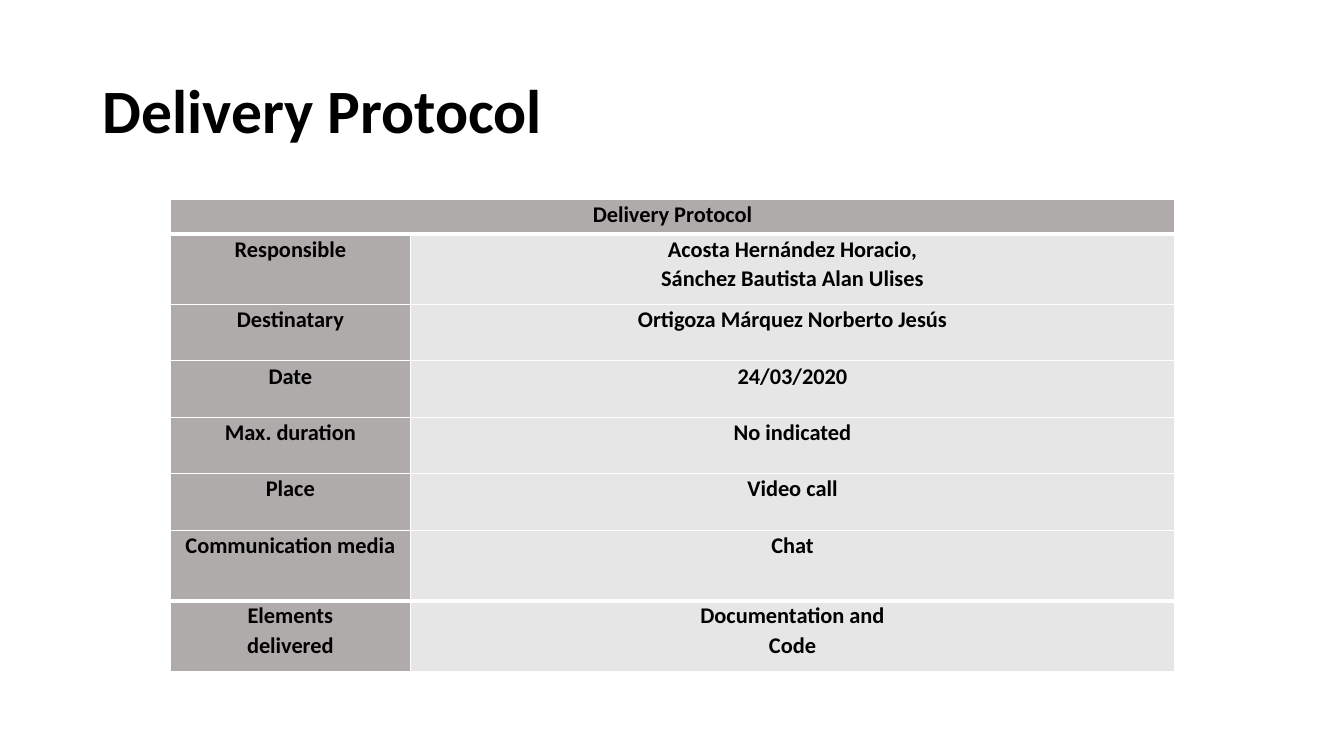
from lxml import etree
from pptx import Presentation
from pptx import util as u
from pptx.dml.color import RGBColor
from pptx.enum import text
from pptx.oxml import ns

BLACK = RGBColor(0x00, 0x00, 0x00)
WHITE = RGBColor(0xFF, 0xFF, 0xFF)
LABEL_GREY = RGBColor(0xAF, 0xAB, 0xAB)
VALUE_GREY = RGBColor(0xE7, 0xE6, 0xE6)

TITLE = "Delivery Protocol"
ENTRIES = [
    ("Responsible", "Acosta Hernández Horacio,\nSánchez Bautista Alan Ulises", 0.7),
    ("Destinatary", "Ortigoza Márquez Norberto Jesús", 0.56),
    ("Date", "24/03/2020", 0.56),
    ("Max. duration", "No indicated", 0.56),
    ("Place", "Video call", 0.56),
    ("Communication media", "Chat", 0.7),
    ("Elements\ndelivered", "Documentation and\nCode", 0.7),
]
COL_WIDTHS = (2.38, 7.58)
HEADER_HEIGHT = 0.34
CELL_FORMAT = {
    "margin_left": u.Inches(0.07),
    "margin_right": u.Inches(0.07),
    "margin_top": 0,
    "margin_bottom": 0,
}


def set_attrs(obj, values):
    for name, value in values.items():
        setattr(obj, name, value)


def write_text(tf, content, size, spacing, align):
    for i, line in enumerate(content.split("\n")):
        p = tf.paragraphs[0] if i == 0 else tf.add_paragraph()
        set_attrs(p, {"alignment": align, "line_spacing": spacing})
        r = p.add_run()
        r.text = line
        set_attrs(r.font, {"name": "Calibri", "size": u.Pt(size), "bold": True})
        r.font.color.rgb = BLACK


def add_title(slide):
    box = slide.shapes.add_textbox(
        u.Inches(0.92), u.Inches(0.4), u.Inches(11.5), u.Inches(1.45))
    tf = box.text_frame
    set_attrs(tf, {"word_wrap": True, "vertical_anchor": text.MSO_ANCHOR.MIDDLE})
    write_text(tf, TITLE, 44, 0.9, text.PP_ALIGN.LEFT)


def set_borders(cell, top=1, bottom=1):
    tc_pr = cell._tc.get_or_add_tcPr()
    widths = {"L": 1, "R": 1, "T": top, "B": bottom}
    for i, (side, width) in enumerate(widths.items()):
        ln = etree.Element(ns.qn(f"a:ln{side}"), w=str(u.Pt(width)))
        fill = etree.SubElement(ln, ns.qn("a:solidFill"))
        etree.SubElement(fill, ns.qn("a:srgbClr"), val=str(WHITE))
        tc_pr.insert(i, ln)


def fill_cell(cell, content, color, **borders):
    set_attrs(cell, CELL_FORMAT)
    cell.fill.solid()
    cell.fill.fore_color.rgb = color
    set_borders(cell, **borders)
    if content:
        write_text(cell.text_frame, content, 16, 1.07, text.PP_ALIGN.CENTER)


def add_protocol_table(slide):
    heights = [HEADER_HEIGHT] + [height for _, _, height in ENTRIES]
    frame = slide.shapes.add_table(
        len(heights), len(COL_WIDTHS), u.Inches(1.69), u.Inches(1.98),
        u.Inches(sum(COL_WIDTHS)), u.Inches(sum(heights)))
    table = frame.table
    set_attrs(table, {"first_row": False, "horz_banding": False})
    for col, width in zip(table.columns, COL_WIDTHS):
        col.width = u.Inches(width)
    for row, height in zip(table.rows, heights):
        row.height = u.Inches(height)

    table.cell(0, 0).merge(table.cell(0, 1))
    for col, content in enumerate((TITLE, "")):
        fill_cell(table.cell(0, col), content, LABEL_GREY, bottom=3)

    last = len(ENTRIES)
    for row, (label, value, _) in enumerate(ENTRIES, start=1):
        borders = {
            "top": 3 if row in (1, last) else 1,
            "bottom": 3 if row == last - 1 else 1,
        }
        fill_cell(table.cell(row, 0), label, LABEL_GREY, **borders)
        fill_cell(table.cell(row, 1), value, VALUE_GREY, **borders)


def main():
    prs = Presentation()
    set_attrs(prs, {"slide_width": u.Inches(13.33), "slide_height": u.Inches(7.5)})
    slide = prs.slides.add_slide(prs.slide_layouts[6])
    add_title(slide)
    add_protocol_table(slide)
    prs.save("out.pptx")


if __name__ == "__main__":
    main()
